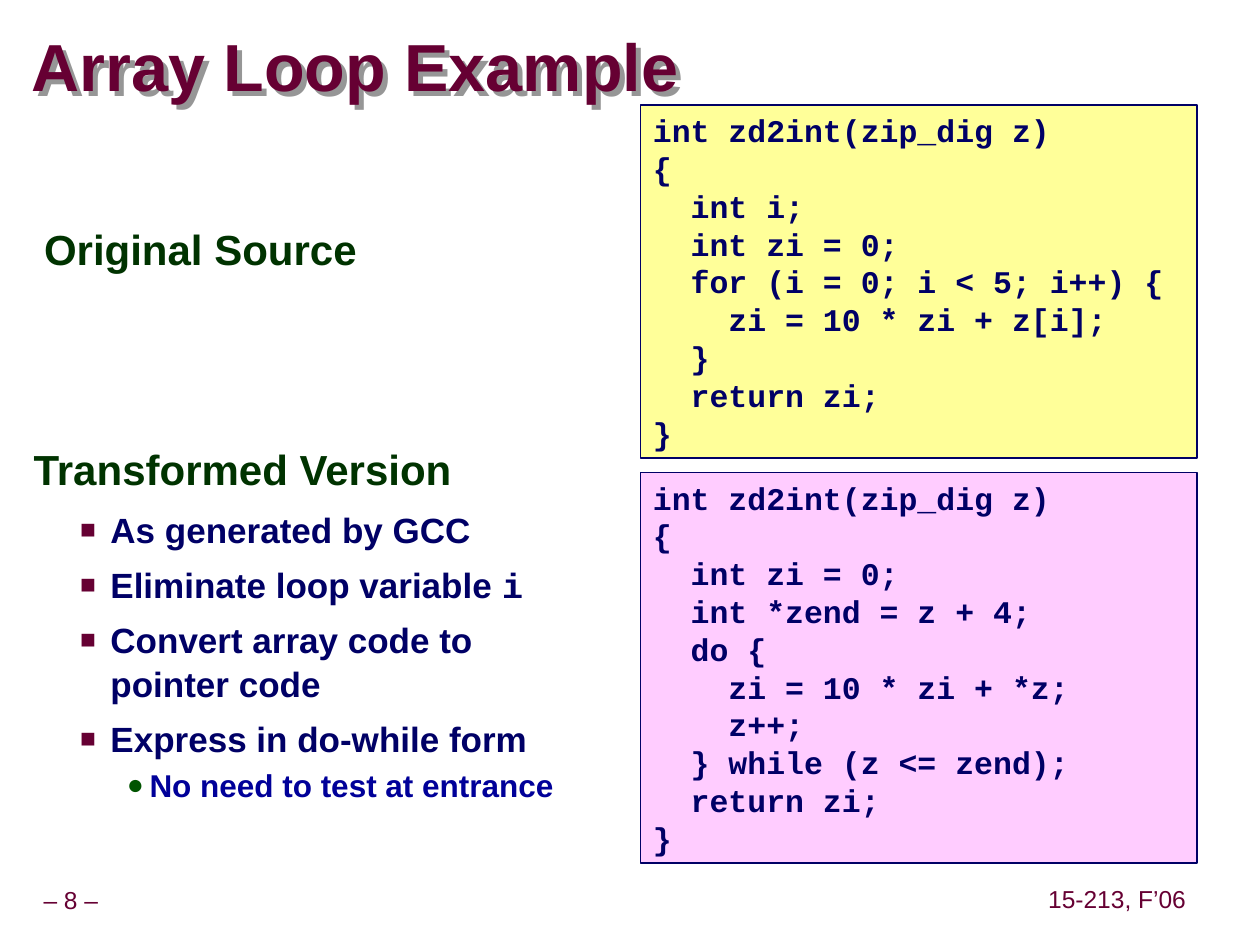
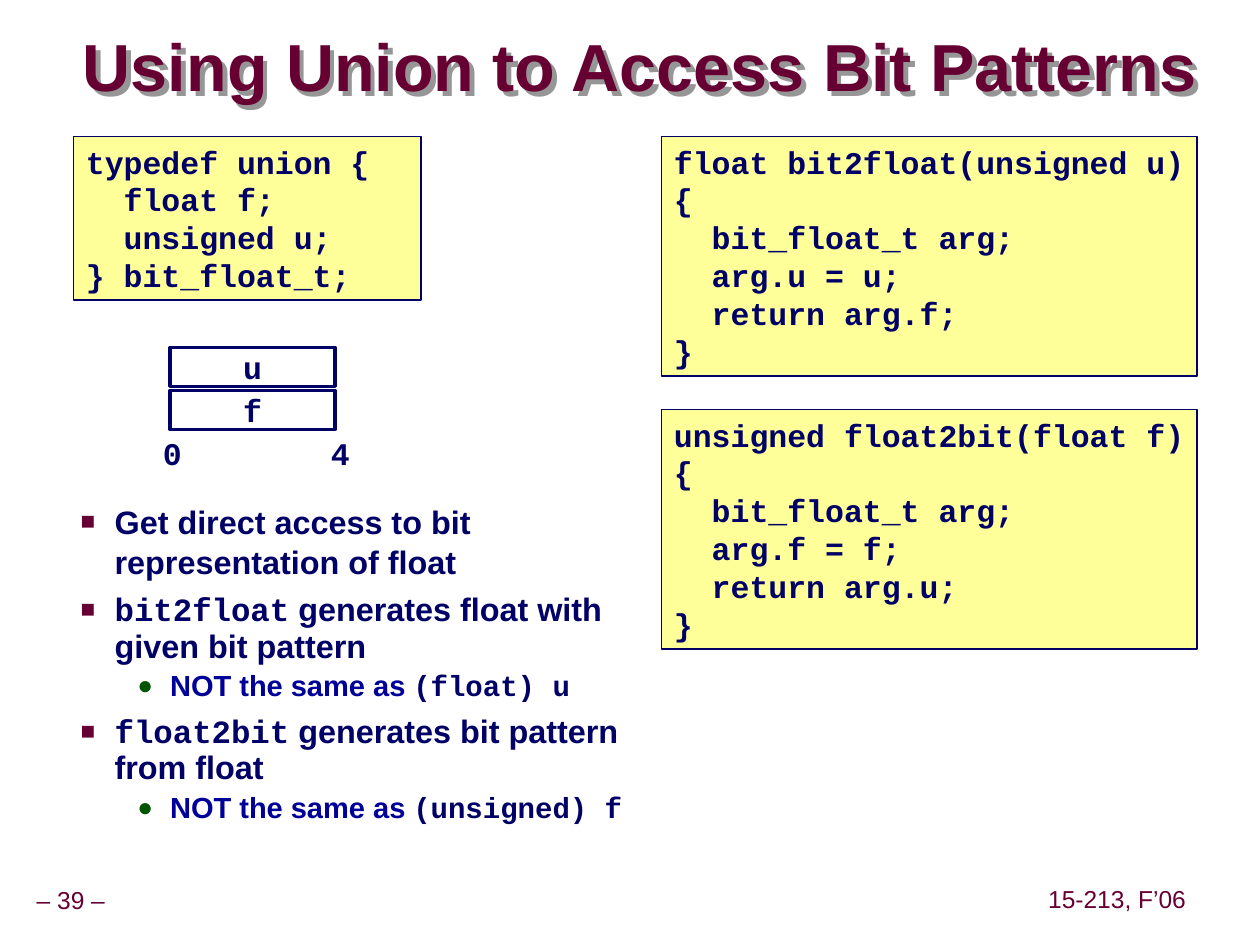
from collections import namedtuple
from lxml.etree import SubElement
from pptx import Presentation
from pptx.dml.color import RGBColor
from pptx.enum.shapes import MSO_SHAPE
from pptx.enum.text import MSO_ANCHOR, MSO_AUTO_SIZE, PP_ALIGN
from pptx.oxml.ns import qn
from pptx.util import Inches, Pt

WINE = RGBColor(0x66, 0x00, 0x33)
NAVY = RGBColor(0x00, 0x00, 0x66)
BLUE = RGBColor(0x00, 0x00, 0x99)
PINE = RGBColor(0x00, 0x33, 0x00)
LEAF = RGBColor(0x00, 0x54, 0x00)
GREY = RGBColor(0x96, 0x96, 0x96)
CREAM = RGBColor(0xFF, 0xFF, 0x99)
PINK = RGBColor(0xFF, 0xCC, 0xFF)
WHITE = RGBColor(0xFF, 0xFF, 0xFF)
SANS, MONO = "Arial", "Courier New"

deck = Presentation()
deck.slide_width, deck.slide_height = Inches(10), Inches(7.5)
COL = deck.slide_width / 120
ROW = deck.slide_height / 90

Look = namedtuple(
    "Look", "size ink face bold align level left hang lead gap mark tint scale",
    defaults=(SANS, True, PP_ALIGN.LEFT, 0, 0, 0, 1, 0, None, None, 0))
HEAD = Look(38, WINE, lead=0.87)
FOOT = Look(14, WINE, bold=False, align=PP_ALIGN.CENTER, lead=0.9)
CODE = Look(18, NAVY, MONO)
CELL = CODE._replace(align=PP_ALIGN.CENTER)
EDGE = CODE._replace(align=PP_ALIGN.RIGHT)
TOPIC = Look(24, PINE, left=0.24, hang=0.24, lead=0.95)
ITEM = Look(20, NAVY, level=1, left=0.61, hang=0.24, lead=1.05, gap=6.2,
            mark="■", tint=WINE, scale=75)
NOTE = Look(18, BLUE, level=2, left=0.92, hang=0.18, lead=1.07, gap=2.2,
            mark="●", tint=LEAF, scale=90)
WIDE = ITEM._replace(size=18.5, left=0.81, hang=0.27)
TIGHT = WIDE._replace(lead=0.94)
SUB = NOTE._replace(size=16.6, left=1.25, hang=0.26, lead=0.97)


def place(shape, spot):
    left, top, width, height = spot
    shape.left, shape.width = round(left * COL), round(width * COL)
    shape.top, shape.height = round(top * ROW), round(height * ROW)


def write(shape, lines, wrap=True, anchor=MSO_ANCHOR.TOP):
    frame = shape.text_frame
    frame.auto_size = MSO_AUTO_SIZE.NONE
    frame.word_wrap, frame.vertical_anchor = wrap, anchor
    for row, (look, *parts) in enumerate(lines):
        para = frame.add_paragraph() if row else frame.paragraphs[0]
        para.level = look.level
        props = para._p.get_or_add_pPr()
        props.set("marL", str(Inches(look.left)))
        props.set("indent", str(-Inches(look.hang)))
        if look.mark:
            tint = SubElement(props, qn("a:buClr"))
            SubElement(tint, qn("a:srgbClr"), val=str(look.tint))
            SubElement(props, qn("a:buSzPct"), val=str(look.scale * 1000))
            SubElement(props, qn("a:buFont"), typeface=SANS)
            SubElement(props, qn("a:buChar"), char=look.mark)
        else:
            SubElement(props, qn("a:buNone"))
        para.alignment, para.line_spacing = look.align, look.lead
        para.space_before = Pt(look.gap if row else 0)
        for turn, part in enumerate(parts):
            if part:
                run = para.add_run()
                run.text = part
                font = run.font
                font.name = MONO if turn % 2 else look.face
                font.size, font.bold = Pt(look.size), look.bold
                font.color.rgb = NAVY if turn % 2 else look.ink


LOOP = """int zd2int(zip_dig z)
{
  int i;
  int zi = 0;
  for (i = 0; i < 5; i++) {
    zi = 10 * zi + z[i];
  }
  return zi;
}"""
CHASE = """int zd2int(zip_dig z)
{
  int zi = 0;
  int *zend = z + 4;
  do {
    zi = 10 * zi + *z;
    z++;
  } while (z <= zend);
  return zi;
}"""
UNION = """typedef union {
  float f;
  unsigned u;
} bit_float_t;"""
TO_FLOAT = """float bit2float(unsigned u) {
  bit_float_t arg;
  arg.u = u;
  return arg.f;
}"""
TO_BIT = """unsigned float2bit(float f) {
  bit_float_t arg;
  arg.f = f;
  return arg.u;
}"""

pages = [
    (3, "Array Loop Example", (3, 3, 97, 7.5), "– 8 –",
     [((3, 21, 53, 28.5), [(TOPIC, "Original Source")]),
      ((2, 42, 54, 37), [
          (TOPIC, "Transformed Version"),
          (ITEM, "As generated by GCC"),
          (ITEM, "Eliminate loop variable ", "i"),
          (ITEM, "Convert array code to pointer code"),
          (ITEM, "Express in do-while form"),
          (NOTE, "No need to test at entrance")])],
     [(LOOP, CREAM, (61, 10, 53, 33.6)),
      (CHASE, PINK, (61, 45, 53, 37.2))]),
    (1, "Using Union to Access Bit Patterns", (7.9, 3, 109, 7.5), "– 39 –",
     [((0, 47, 64.2, 37), [
         (WIDE, "Get direct access to bit representation of float"),
         (TIGHT, "", "bit2float", " generates float with given bit pattern"),
         (SUB, "NOT the same as ", "(float) u"),
         (TIGHT, "", "float2bit", " generates bit pattern from float"),
         (SUB, "NOT the same as ", "(unsigned) f")])],
     [(UNION, CREAM, (7, 13, 33.1, 15.6)),
      (TO_FLOAT, CREAM, (63, 13, 51, 22.8)),
      (TO_BIT, CREAM, (63, 39, 51, 22.8))]),
]

for kind, name, spot, page, lists, codes in pages:
    slide = deck.slides.add_slide(deck.slide_layouts[kind])
    title, *bodies = slide.placeholders
    place(title, spot)
    write(title, [(HEAD, name)], anchor=MSO_ANCHOR.MIDDLE)
    frame = title.text_frame
    frame.margin_left = frame.margin_right = 0
    frame.margin_top = frame.margin_bottom = 0
    glow = SubElement(title._element.spPr, qn("a:effectLst"))
    cast = SubElement(glow, qn("a:outerShdw"), dist=str(Pt(4)),
                      dir="2700000", algn="ctr", rotWithShape="0")
    SubElement(cast, qn("a:srgbClr"), val=str(GREY))
    for body, (spot, lines) in zip(bodies, lists):
        place(body, spot)
        write(body, lines)
    for text, spot in [(page, (0, 84, 13.5, 3.7)),
                       ("15-213, F’06", (99.2, 83.9, 14.4, 3.7))]:
        foot = slide.shapes.add_textbox(0, 0, 0, 0)
        place(foot, spot)
        write(foot, [(FOOT, text)], False, MSO_ANCHOR.MIDDLE)
    boxes = [(text, tone, spot, CODE, 1, MSO_ANCHOR.TOP)
             for text, tone, spot in codes]
    if kind == 1:
        boxes += [(text, WHITE, (16.2, 33.1 + 4.1 * step, 15.7, 3.7), CELL, 2,
                   MSO_ANCHOR.MIDDLE) for step, text in enumerate("uf")]
        for step, text in enumerate("04"):
            label = slide.shapes.add_textbox(0, 0, 0, 0)
            place(label, (14.3 + 16 * step, 40.7, 4.2, 4.8))
            write(label, [(EDGE, text)], False)
    for text, tone, spot, look, edge, anchor in boxes:
        box = slide.shapes.add_shape(MSO_SHAPE.RECTANGLE, 0, 0, 0, 0)
        place(box, spot)
        box.shadow.inherit = False
        box.fill.solid()
        box.fill.fore_color.rgb = tone
        box.line.color.rgb, box.line.width = NAVY, Pt(edge)
        write(box, [(look, line) for line in text.split("\n")], anchor=anchor)

deck.save("out.pptx")
